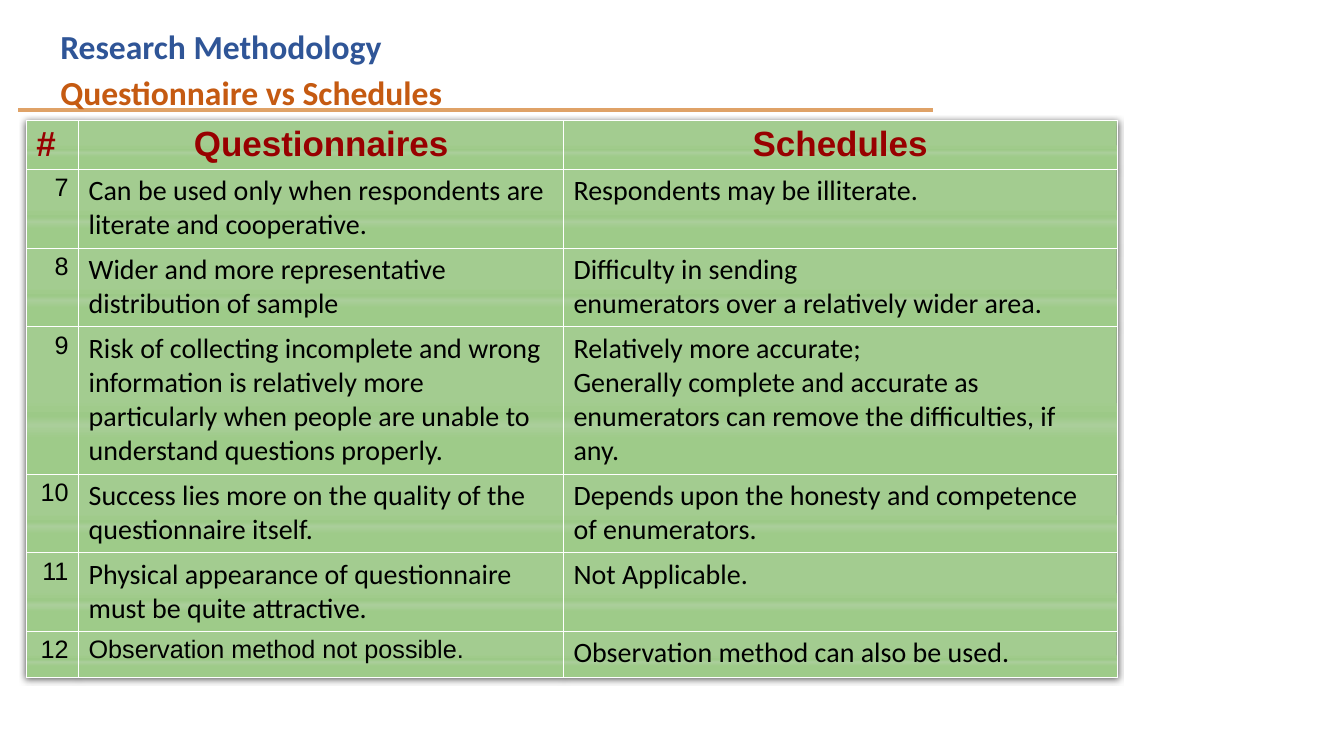
from lxml import etree
from pptx import Presentation
from pptx.dml.color import RGBColor
from pptx.enum.shapes import MSO_CONNECTOR
from pptx.enum.text import MSO_AUTO_SIZE, PP_ALIGN
from pptx.oxml import parse_xml
from pptx.oxml.ns import nsdecls, qn
from pptx.util import Cm, Pt

LEFT, CENTER, RIGHT = PP_ALIGN.LEFT, PP_ALIGN.CENTER, PP_ALIGN.RIGHT
GROW = MSO_AUTO_SIZE.SHAPE_TO_FIT_TEXT
STRAIGHT = MSO_CONNECTOR.STRAIGHT

COLORS = {
    "course": "2F5597",
    "topic": "C55A11",
    "rule": "DFA267",
    "header": "980000",
    "body": "000000",
    "border": "FFFFFF",
    "shadow": "000000",
}
# Vertical gradient of every cell: position in percent, colour
CELL_STOPS = [(50, "A3CC90"), (56, "A0CB8B"), (61, "9CC987"), (67, "AACE9A"),
              (76, "9ECB89"), (98, "9DCB88"), (100, "9DCB87")]

# Text, colour, top and width in cm
TITLES = [
    ("Questionnaire vs Schedules", "topic", 1.68, 22.23),
    ("Research Methodology", "course", 0.53, 20.83),
]
HEADER = ("#", "Questionnaires", "Schedules")
# Each cell is a list of paragraphs
COMPARISONS = [
    (["Can be used only when respondents are literate and cooperative."],
     ["Respondents may be illiterate."]),
    (["Wider and more representative distribution of sample"],
     ["Difficulty in sending", "enumerators over a relatively wider area."]),
    (["Risk of collecting incomplete and wrong information is relatively more "
      "particularly when people are unable to understand questions properly."],
     ["Relatively more accurate;",
      "Generally complete and accurate as enumerators can remove the "
      "difficulties, if any."]),
    (["Success lies more on the quality of the questionnaire itself."],
     ["Depends upon the honesty and competence of enumerators."]),
    (["Physical appearance of questionnaire", "must be quite attractive."],
     ["Not Applicable."]),
    (["Observation method not possible."],
     ["Observation method can also be used."]),
]
FIRST_NUMBER = 7
COL_WIDTHS = (1.32, 12.22, 13.94)
ROW_HEIGHTS = (1.19, 1.78, 1.78, 3.33, 1.78, 1.78, 1.17)

HEADER_FONT = ("Arial", 25, "header", True)
NUMBER_FONT = ("Arial", 18, "body", False)
BODY_FONT = ("Calibri", 20, "body", False)
TITLE_FONT = ("Calibri", 24)


def write(tf, paragraphs, font, align=LEFT):
    name, size, color, bold = font
    for i, text in enumerate(paragraphs):
        p = tf.paragraphs[0] if i == 0 else tf.add_paragraph()
        p.alignment = align
        r = p.add_run()
        r.text = text
        r.font.name, r.font.size, r.font.bold = name, Pt(size), bold
        r.font.color.rgb = RGBColor.from_string(COLORS[color])


def dress_cell(cell):
    """Give a cell its thin borders and its gradient fill."""
    tc_pr = cell._tc.get_or_add_tcPr()
    for side in ("lnL", "lnR", "lnT", "lnB"):
        tc_pr.append(parse_xml(
            f'<a:{side} {nsdecls("a")} w="{Pt(0.06)}"><a:solidFill>'
            f'<a:srgbClr val="{COLORS["border"]}"/></a:solidFill></a:{side}>'))
    stops = "".join(f'<a:gs pos="{pos * 1000}"><a:srgbClr val="{color}"/></a:gs>'
                    for pos, color in CELL_STOPS)
    tc_pr.append(parse_xml(
        f'<a:gradFill {nsdecls("a")} rotWithShape="1"><a:gsLst>{stops}</a:gsLst>'
        '<a:lin ang="5400000" scaled="0"/></a:gradFill>'))


def add_comparison_table(s):
    table = s.shapes.add_table(len(ROW_HEIGHTS), len(COL_WIDTHS), Cm(0.66), Cm(3.02),
                               Cm(sum(COL_WIDTHS)), Cm(13.92)).table
    table.first_row = table.horz_banding = False
    table._tbl.tblPr.insert(0, parse_xml(
        f'<a:effectLst {nsdecls("a")}><a:outerShdw blurRad="{Pt(4.5)}" dist="{Pt(1.5)}" '
        f'dir="5400000" algn="ctr" rotWithShape="0"><a:srgbClr val="{COLORS["shadow"]}">'
        '<a:alpha val="63000"/></a:srgbClr></a:outerShdw></a:effectLst>'))
    for column, width in zip(table.columns, COL_WIDTHS):
        column.width = Cm(width)
    for row, height in zip(table.rows, ROW_HEIGHTS):
        row.height = Cm(height)
    for cell in table.iter_cells():
        dress_cell(cell)

    for c, heading in enumerate(HEADER):
        write(table.cell(0, c).text_frame, [heading], HEADER_FONT, CENTER if c else LEFT)
    last = len(COMPARISONS)
    for r, (questionnaire, schedule) in enumerate(COMPARISONS, 1):
        number = str(FIRST_NUMBER + r - 1)
        write(table.cell(r, 0).text_frame, [number], NUMBER_FONT, RIGHT)
        write(table.cell(r, 1).text_frame, questionnaire,
              NUMBER_FONT if r == last else BODY_FONT)
        write(table.cell(r, 2).text_frame, schedule, BODY_FONT)


def add_rule(s):
    rule = s.shapes.add_connector(STRAIGHT, Cm(0.46), Cm(2.77), Cm(23.5), Cm(2.77))
    rule.line.color.rgb = RGBColor.from_string(COLORS["rule"])
    rule.line.width = Pt(3)
    etree.SubElement(rule._element.spPr, qn("a:effectLst"))


def add_title(s, text, color, top, width):
    tf = s.shapes.add_textbox(Cm(1.27), Cm(top), Cm(width), Cm(1.27)).text_frame
    tf.word_wrap = True
    tf.auto_size = GROW
    write(tf, [text], (*TITLE_FONT, color, True))


def main():
    prs = Presentation()
    prs.slide_width, prs.slide_height = Cm(33.87), Cm(19.05)
    s = prs.slides.add_slide(prs.slide_layouts[6])
    add_comparison_table(s)
    add_rule(s)
    for title in TITLES:
        add_title(s, *title)
    prs.save("out.pptx")


if __name__ == "__main__":
    main()
